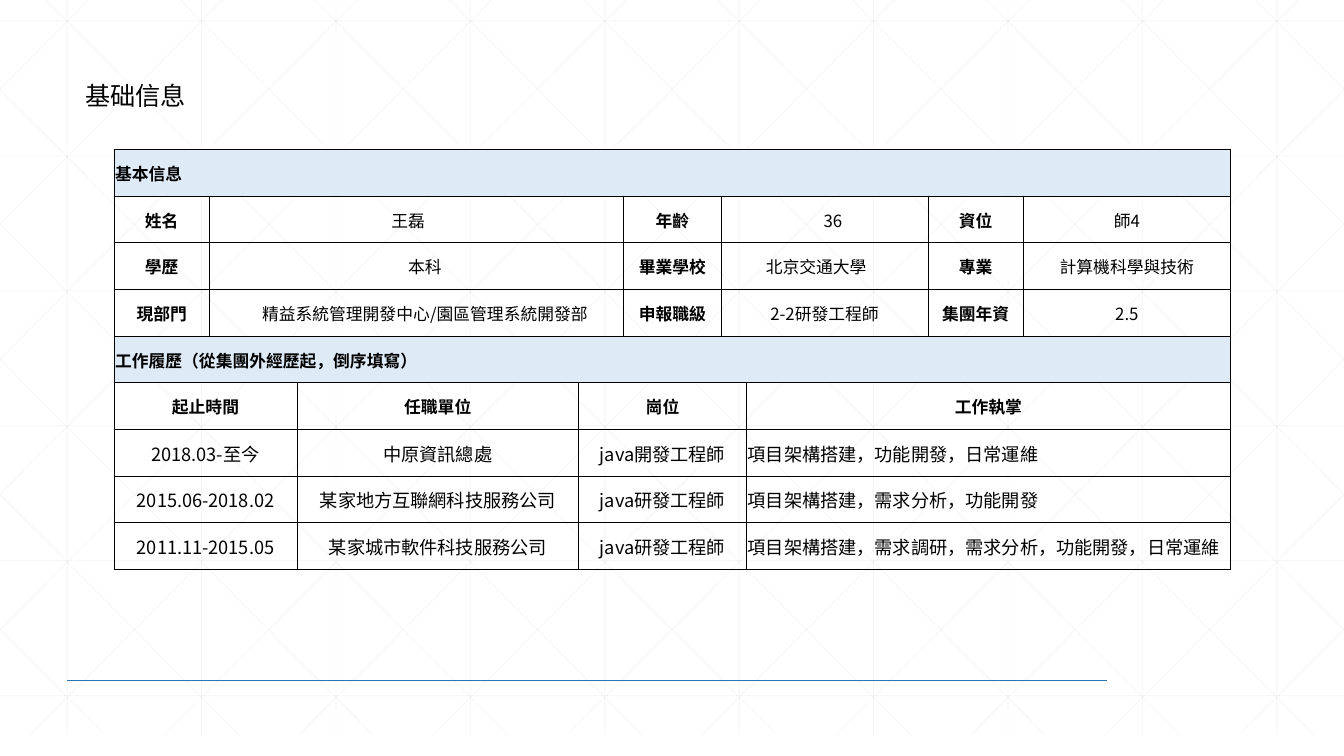
from lxml import etree
from pptx import Presentation
from pptx import util as u
from pptx.dml.color import RGBColor
from pptx.enum import shapes, text
from pptx.oxml import ns

FONT = "Noto Sans CJK SC"
WIDTH, HEIGHT = 33.87, 19.05

# Table layouts: how many grid columns each cell of a row covers
COLUMNS = (2.41, 2.21, 7.09, 1.14, 2.46, 0.64, 4.57, 2.41, 5.21)
BANNER = (9,)
FACTS = (1, 3, 1, 2, 1, 1)
JOBS = (2, 1, 3, 3)

ROWS = [
    (BANNER, "banner", ["基本信息"]),
    (FACTS, "facts", ["姓名", "王磊　", "年齡", "　36", "資位", "師4"]),
    (FACTS, "facts", ["學歷", "　本科", "畢業學校", "北京交通大學　", "專業", "計算機科學與技術"]),
    (FACTS, "facts", ["現部門", "　精益系統管理開發中心/園區管理系統開發部",
                      "申報職級", "2-2研發工程師", "集團年資", "2.5"]),
    (BANNER, "banner", ["工作履歷（從集團外經歷起，倒序填寫）"]),
    (JOBS, "heading", ["起止時間", "任職單位", "崗位", "工作執掌"]),
    (JOBS, "job", ["2018.03-至今", "中原資訊總處", "java開發工程師",
                   "項目架構搭建，功能開發，日常運維"]),
    (JOBS, "job", ["2015.06-2018.02", "某家地方互聯網科技服務公司", "java研發工程師",
                   "項目架構搭建，需求分析，功能開發"]),
    (JOBS, "job", ["2011.11-2015.05", "某家城市軟件科技服務公司", "java研發工程師",
                   "項目架構搭建，需求調研，需求分析，功能開發，日常運維"]),
]


def color(value):
    return RGBColor.from_string(value)


def add_element(parent, tag, **attributes):
    return etree.SubElement(parent, ns.qn(tag), attributes)


def add_span(para, words, size, bold=False):
    span = para.add_run()
    span.text = words
    span.font.size = u.Pt(size)
    span.font.bold = bold
    span.font.name = FONT
    span.font.color.rgb = color("000000")
    add_element(span.font._element, "a:ea", typeface=FONT)


def add_line(page, start, end, tint, points, alpha=None):
    ends = [u.Cm(value) for value in (*start, *end)]
    line = page.shapes.add_connector(shapes.MSO_CONNECTOR.STRAIGHT, *ends)
    line.line.color.rgb = color(tint)
    line.line.width = u.Pt(points)
    if alpha:
        fill = line._element.spPr.find(".//" + ns.qn("a:srgbClr"))
        add_element(fill, "a:alpha", val=str(alpha * 1000))
    add_element(line._element.spPr, "a:effectLst")


def add_background(page, left, top, width, height):
    """Faint grid with diagonals in both directions, cut at the sides."""
    def faint(start, end):
        add_line(page, start, end, "D9D9D9", 0.5, 25)

    right, bottom, step = left + width, top + height, width / 10
    for column in range(10):
        x = left + (column + 0.5) * step
        faint((x, top), (x, bottom))
    for row in range(6):
        y = top + 1.06 + row * 3.4
        faint((left, y), (right, y))

    run = 18.94
    slope = height / run
    for index in range(-5, 10):
        origin = left + 0.63 + index * step
        first, last = max(origin, left), min(origin + run, right)
        y_first = top + (first - origin) * slope
        y_last = top + (last - origin) * slope
        faint((first, y_first), (last, y_last))
        faint((left + right - first, y_first), (left + right - last, y_last))


def add_title(page, left, top, width, height):
    box = page.shapes.add_textbox(*map(u.Cm, (left, top, width, height)))
    frame = box.text_frame
    frame.word_wrap = True
    frame.auto_size = text.MSO_AUTO_SIZE.SHAPE_TO_FIT_TEXT
    add_span(frame.paragraphs[0], "基础信息", 18)


def add_borders(cell):
    properties = cell._tc.get_or_add_tcPr()
    for side in ("a:lnL", "a:lnR", "a:lnT", "a:lnB"):
        border = add_element(properties, side, w=str(u.Pt(0.5)))
        fill = add_element(border, "a:solidFill")
        add_element(fill, "a:srgbClr", val="000000")


def fill_cell(cell, words, kind, position):
    cell.vertical_anchor = text.MSO_ANCHOR.MIDDLE
    cell.margin_left = cell.margin_right = cell.margin_top = u.Cm(0.03)
    cell.margin_bottom = 0
    if kind == "banner":
        cell.fill.solid()
        cell.fill.fore_color.rgb = color("DEEBF7")
    para = cell.text_frame.paragraphs[0]
    duties = kind == "job" and position == len(JOBS) - 1
    if kind != "banner" and not duties:
        para.alignment = text.PP_ALIGN.CENTER
    label = kind == "facts" and position % 2 == 0
    bold = label or kind in ("banner", "heading")
    add_span(para, words, 13 if kind == "job" else 12, bold)


def add_resume_table(page, left, top, width, height):
    frame = page.shapes.add_table(len(ROWS), len(COLUMNS),
                                  *map(u.Cm, (left, top, width, height)))
    table = frame.table
    table.first_row = table.horz_banding = False
    for column, share in zip(table.columns, COLUMNS):
        column.width = u.Cm(share * width / sum(COLUMNS))
    for row in table.rows:
        row.height = u.Cm(height / len(ROWS))
    for cell in table.iter_cells():
        add_borders(cell)
        cell.fill.background()

    for row, (spans, kind, entries) in enumerate(ROWS):
        column = 0
        for position, (span, words) in enumerate(zip(spans, entries)):
            cell = table.cell(row, column)
            if span > 1:
                cell.merge(table.cell(row, column + span - 1))
            fill_cell(cell, words, kind, position)
            column += span


def main():
    deck = Presentation()
    deck.slide_width, deck.slide_height = u.Cm(WIDTH), u.Cm(HEIGHT)
    page = deck.slides.add_slide(deck.slide_layouts[6])
    add_background(page, 0, -0.53, WIDTH, HEIGHT)
    # Footer rule
    add_line(page, (1.7, 17.15), (27.89, 17.15), "2E75B6", 1)
    add_resume_table(page, 2.87, 3.76, 28.14, 10.59)
    add_title(page, 1.9, 1.9, 5.5, 1.03)
    deck.save("out.pptx")


if __name__ == "__main__":
    main()
